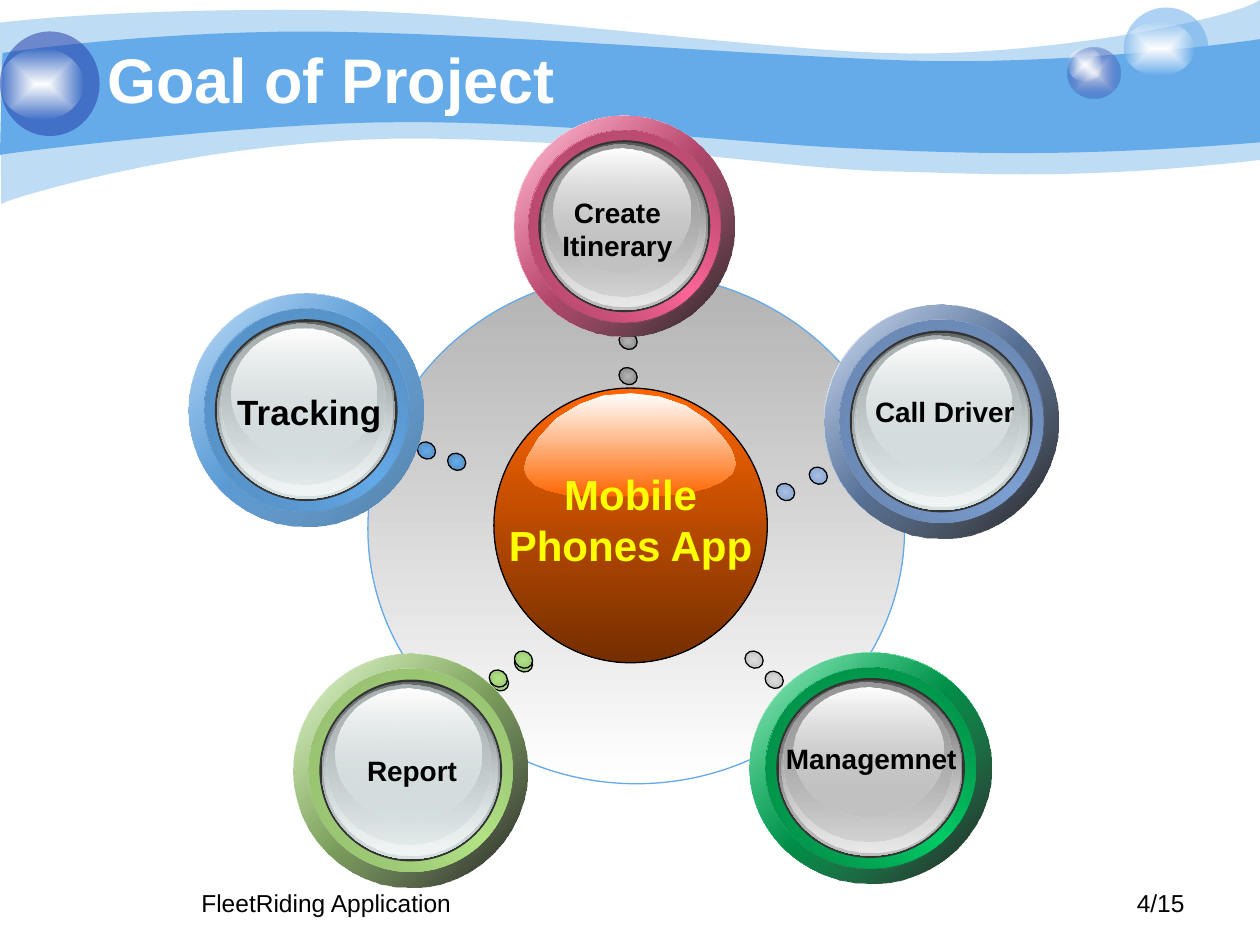
"""Build the project goal slide: a glossy hub surrounded by five medallions."""
from dataclasses import dataclass

from pptx import Presentation, util as u
from pptx.dml import color as dml
from pptx.enum import shapes, text
from pptx.oxml import parse_xml
from pptx.oxml.ns import nsdecls


@dataclass(frozen=True)
class Theme:
    """Colours, type sizes and font of the deck."""
    font: str = "Arial"
    white: str = "FFFFFF"
    black: str = "000000"
    sky: str = "65AAE9"
    navy: str = "233DA9"
    pearl: str = "E1E2ED"
    disc: str = "B2B2B2"
    orange: str = "FF6600"
    brown: str = "742E00"
    yellow: str = "FFFF00"
    groove: str = "333333"
    glass: tuple = ("636869", "D6E1E2", "F1F5F5", "AAB2B3")
    silver: tuple = ("595959", "C0C0C0", "E9E9E9", "989898")
    title: int = 36
    hub: int = 24
    large: int = 20
    label: int = 16
    footer: int = 14


@dataclass(frozen=True)
class Medallion:
    """One goal: its disc, rim colours, label and connecting dots."""
    label: str
    box: tuple
    rim: tuple
    face: tuple
    label_box: tuple
    dot_colors: tuple
    dots: tuple
    size: int = Theme.label
    shade: tuple = (Theme.black, 90)


class Deck:
    """Draws styled elements on the current slide, on a 100 by 75 grid."""
    columns, rows = 100, 75

    def __init__(self, theme):
        """Create a presentation with one title-only slide."""
        self.theme = theme
        self.presentation = Presentation()
        self.presentation.slide_width = u.Inches(10)
        self.presentation.slide_height = u.Inches(7.5)
        self.slide = self.presentation.slides.add_slide(self.presentation.slide_layouts[5])

    def place(self, box):
        """Turn a grid box into lengths."""
        across = self.presentation.slide_width / self.columns
        down = self.presentation.slide_height / self.rows
        return [round(value * unit) for value, unit in zip(box, (across, down) * 2)]

    def paint(self, shape, stops, angle=None, line=None):
        """Fill with one stop, or with a linear or centred gradient, and set the outline."""
        shape.shadow.inherit = False
        shape.fill.solid()
        shape.fill.fore_color.rgb = dml.RGBColor.from_string(stops[0][0])
        if line:
            shape.line.color.rgb = dml.RGBColor.from_string(line)
            shape.line.width = u.Pt(0.75)
        else:
            shape.line.fill.background()
        colors = [f'<a:srgbClr val="{name}"><a:alpha val="{alpha * 1000}"/></a:srgbClr>'
                  for name, alpha in ((*stop, 100)[:2] for stop in stops)]
        if len(stops) == 1:
            fill = f'<a:solidFill {nsdecls("a")}>{colors[0]}</a:solidFill>'
        else:
            step = 100000 // (len(stops) - 1)
            marks = "".join(f'<a:gs pos="{i * step}">{mark}</a:gs>' for i, mark in enumerate(colors))
            course = (f'<a:lin ang="{angle * 60000}" scaled="0"/>' if angle is not None else
                      '<a:path path="shape"><a:fillToRect l="50000" t="50000" r="50000" b="50000"/></a:path>')
            fill = (f'<a:gradFill {nsdecls("a")} rotWithShape="1"><a:gsLst>{marks}</a:gsLst>'
                    f'{course}</a:gradFill>')
        properties = shape._element.spPr
        properties.replace(properties.find(".//{*}solidFill"), parse_xml(fill))

    def ellipse(self, box, stops, angle=None, line=None, rotation=0):
        """Add a filled ellipse."""
        shape = self.slide.shapes.add_shape(shapes.MSO_SHAPE.OVAL, *self.place(box))
        shape.rotation = rotation
        self.paint(shape, stops, angle, line)

    def outline(self, points, stops, angle=None):
        """Add a closed polygon through grid points."""
        start, *rest = [self.place(point) for point in points]
        builder = self.slide.shapes.build_freeform(*start)
        builder.add_line_segments(rest, close=True)
        self.paint(builder.convert_to_shape(), stops, angle)

    def band(self, top, bottom, stops):
        """Add a wave between two chains of cubic curves."""
        points = []
        for chain in (top, bottom):
            for first in range(0, len(chain) - 1, 3):
                a, b, c, d = chain[first:first + 4]
                for t in (step / 16 for step in range(17)):
                    weights = ((1 - t) ** 3, 3 * t * (1 - t) ** 2, 3 * t * t * (1 - t), t ** 3)
                    points.append([sum(w * p[axis] for w, p in zip(weights, (a, b, c, d)))
                                   for axis in (0, 1)])
        self.outline(points, stops)

    def set_words(self, shape, words, size, color, bold, align):
        """Set the text of a shape and format its run."""
        shape.text_frame.text = words
        paragraph = shape.text_frame.paragraphs[0]
        paragraph.alignment = align
        font = paragraph.runs[0].font
        font.name, font.size, font.bold = self.theme.font, u.Pt(size), bold
        font.color.rgb = dml.RGBColor.from_string(color)

    def title(self, words, box):
        """Move, format and raise the title placeholder."""
        shape = self.slide.shapes.title
        shape.left, shape.top, shape.width, shape.height = self.place(box)
        shape.text_frame.vertical_anchor = text.MSO_ANCHOR.MIDDLE
        self.set_words(shape, words, self.theme.title, self.theme.white, True, text.PP_ALIGN.LEFT)
        self.slide.shapes._spTree.append(shape._element)

    def label(self, words, box, size, color=Theme.black, bold=True, align=text.PP_ALIGN.CENTER):
        """Add a text box that wraps only between words."""
        shape = self.slide.shapes.add_textbox(*self.place(box))
        shape.text_frame.word_wrap = " " in words
        self.set_words(shape, words, size, color, bold, align)

    def bubble(self, box, stops, shine):
        """Add a translucent ball with a soft shine."""
        self.ellipse(box, stops)
        self.ellipse(shine, [(self.theme.white,), (self.theme.white, 0)])

    def medallion(self, item):
        """Add dots, rim, glass face and label of one goal."""
        white = self.theme.white
        color, edge, soft = item.rim
        deep, base, light, dim = item.face
        left, top, width, height = item.box
        for x, y in item.dots:
            self.ellipse((x, y, 1.3, 1.5), [(name,) for name in item.dot_colors],
                         line=self.theme.black, rotation=303.8)
        layers = (
            (0, 0, 1, 1, [(white,), (color,), (white,)], 45),
            (0, 0, 1, 1, [(color, 32), item.shade], 45),
            (0.065, 0.065, 0.87, 0.87, [(edge,), (color,), (edge,)], 315),
            (0.065, 0.065, 0.87, 0.87, [(soft,), (color, 0)], 45),
            (0.11, 0.11, 0.78, 0.78, [(self.theme.groove,)], None),
            (0.12, 0.12, 0.76, 0.76, [(deep,), (base,)], 90),
            (0.13, 0.125, 0.74, 0.74, [(base, 0), (light,)], 90),
            (0.14, 0.13, 0.7, 0.69, [(dim,), (base, 48)], 90),
            (0.18, 0.15, 0.62, 0.56, [(white,), (base, 38)], 90))
        for x, y, wide, high, stops, angle in layers:
            self.ellipse((left + x * width, top + y * height, wide * width, high * height), stops, angle)
        self.label(item.label, item.label_box, item.size)


def main():
    """Draw the slide and save it."""
    theme = Theme()
    deck = Deck(theme)
    deck.band([(0, 1.8), (2.4, 1.5), (10.7, 0.7), (24.7, 0.8), (38.6, 0.8), (57.5, 3.7), (69.9, 4.2),
               (82.2, 4.7), (98, 1.5), (100, 0)],
              [(100, 12.7), (85.8, 14.3), (78.7, 13.8), (70.5, 13.6), (62.2, 13.4), (51.5, 11.3),
               (34.3, 11), (17.2, 10.7), (0.4, 15.8), (0.1, 16.2)], [(theme.sky, 41)])
    deck.band([(0.2, 4.2), (0.3, 4.2), (11, 2.5), (24.8, 2.5), (38.7, 2.6), (59.6, 4.4), (71.9, 4.8),
               (84.1, 5.2), (97.6, 3.5), (100, 3.1)],
              [(100, 11.3), (85.3, 12.5), (76.6, 12.2), (68.2, 11.8), (59.9, 11.5), (44.7, 9.6),
               (31.7, 9.7), (20.3, 9.7), (0, 12.2), (0, 12.3)], [(theme.sky,)])
    deck.bubble((84.7, 3.8, 4.2, 4), [(theme.pearl,), (theme.navy, 31)], (84.7, 3.8, 2.8, 2.7))
    deck.bubble((89.2, 0.6, 6.7, 6.5), [(theme.sky, 53)], (89.2, 1.7, 5.6, 4.3))
    deck.bubble((0, 2.5, 7.9, 8.3), [(theme.navy, 53)], (0, 3.9, 6.6, 5.6))
    deck.title("Goal of Project", (7.5, 2.5, 90, 7.5))

    deck.ellipse((29.2, 21.7, 42.6, 40.5), [(theme.disc,), (theme.white,)], 90, theme.sky)
    deck.ellipse((39.2, 30.8, 21.7, 21.8), [(theme.orange,), (theme.brown,)], 90, theme.black)
    deck.outline([(58.1, 35.8), (58.4, 36.8), (58.1, 37.6), (57.3, 38.2), (56.2, 38.7), (54.7, 39.1),
                  (53, 39.3), (51.7, 39.4), (47.7, 39.4), (46.1, 39.3), (44.6, 39.2), (43.4, 38.9),
                  (42.5, 38.5), (41.9, 37.9), (41.6, 37.2), (41.8, 36.4), (42.8, 34.7), (44.2, 33.2),
                  (46, 32.1), (47.9, 31.4), (50.1, 31.2), (52.4, 31.5), (54.4, 32.2), (56.2, 33.4),
                  (57.6, 35)], [(theme.white,), (theme.orange,)], 90)
    deck.label("Mobile Phones App", (39.2, 36.7, 21.7, 9.1), theme.hub, theme.yellow)

    goals = (
        Medallion("Report", (23.3, 51.9, 18.6, 18.5), ("B2E385", "88AE66", "92BA6D"), theme.glass,
                  (28.1, 59.3, 9.2, 3.7), ("B2E385", "95BE70"),
                  ((39, 53.4), (40.9, 51.9), (38.9, 53.1), (40.9, 51.6))),
        Medallion("Tracking", (15, 23.3, 18.6, 18.5), (theme.sky, "4D82B2", "538CBF"), theme.glass,
                  (15, 30.5, 19.1, 4.4), (theme.sky, "4F86B7"), ((33.2, 35), (35.6, 35.9)),
                  theme.large, ("487AA7", 100)),
        Medallion("Call Driver", (65.4, 24.2, 18.6, 18.5), ("7DA0D3", "607BA2", "6783AD"), theme.glass,
                  (67.5, 30.8, 15, 3.7), ("A9BDDF", "7DA0D3"), ((64.3, 37), (61.7, 38.3))),
        Medallion("Create Itinerary", (40.8, 9.2, 17.5, 17.5), ("FF6699", "8A3753", "A24161"),
                  theme.silver, (43.1, 15, 11.8, 6.4), (theme.disc, "7E7E7E"),
                  ((49.2, 26.3), (49.2, 29.1))),
        Medallion("Managemnet", (59.5, 51.8, 19.2, 18.3), ("00CC66", "006E37", "008241"), theme.silver,
                  (61.3, 58.4, 15.7, 3.7), ("DDDDDD", "B9B9B9"), ((60.8, 53.2), (59.2, 51.6))))
    for goal in goals:
        deck.medallion(goal)

    deck.label("FleetRiding Application", (15, 70, 71.7, 3.5), theme.footer, bold=False,
               align=text.PP_ALIGN.LEFT)
    deck.label("4/15", (80.8, 70, 14.2, 3.5), theme.footer, bold=False, align=text.PP_ALIGN.RIGHT)
    deck.presentation.save("out.pptx")


if __name__ == "__main__":
    main()
